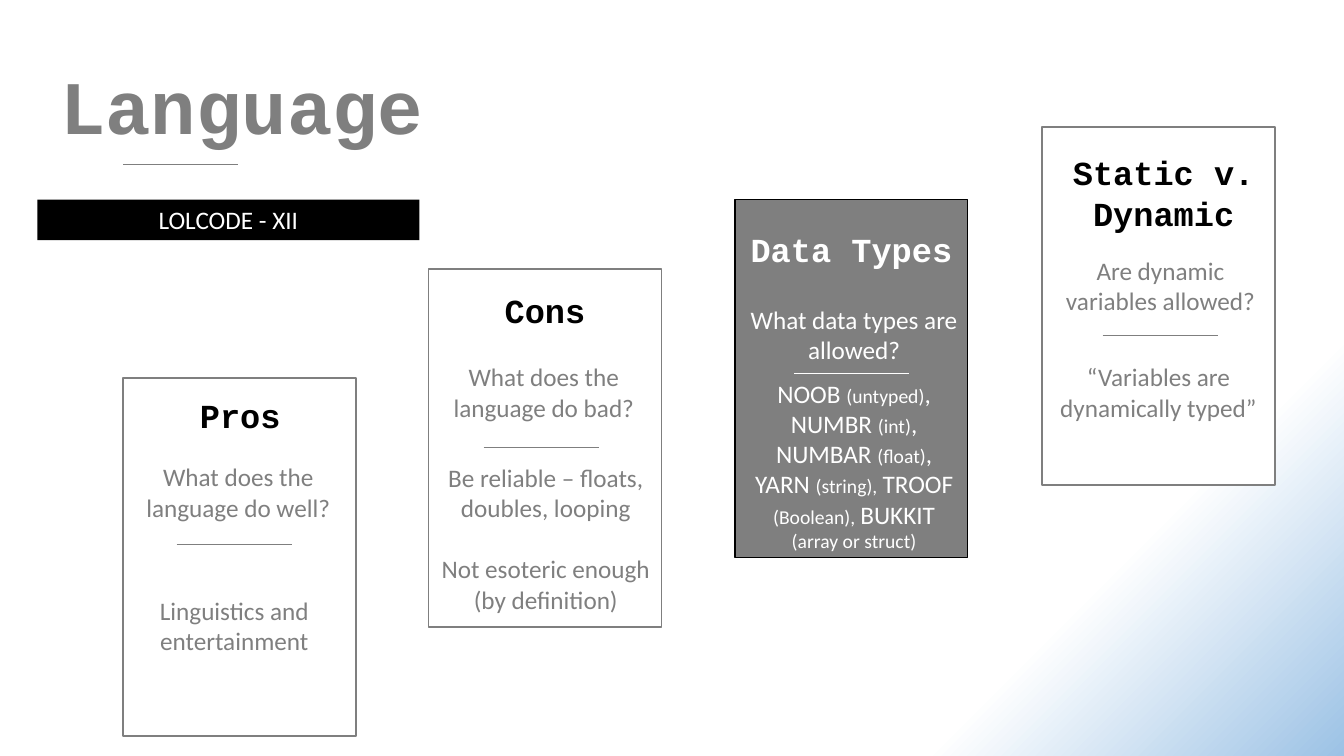
import pptx
import pptx.util
import pptx.oxml
import pptx.oxml.ns
import pptx.dml.color
import pptx.enum.shapes
import pptx.enum.text

Cm, Pt = pptx.util.Cm, pptx.util.Pt
RGB = pptx.dml.color.RGBColor
WHITE = RGB(0xFF, 0xFF, 0xFF)
BLACK = RGB(0, 0, 0)
GRAY = RGB(0x7F, 0x7F, 0x7F)
BLUE = RGB(0x9C, 0xC2, 0xE5)
HEAD, BODY = "Courier New", "Calibri"
WIDE, TALL = 5.87, 9.02
LEFT, MID = pptx.enum.text.PP_ALIGN.LEFT, pptx.enum.text.PP_ALIGN.CENTER


class Deck:
    def __init__(self):
        self.file = pptx.Presentation()
        self.file.slide_width, self.file.slide_height = Cm(33.87), Cm(19.05)
        self.slide = self.file.slides.add_slide(self.file.slide_layouts[6])
        self.shapes = self.slide.shapes

    def back(self, stops):
        """Fill the background with a round gradient from the top left."""
        marks = "".join(f'<a:gs pos="{pos * 1000}"><a:srgbClr val="{color}"/></a:gs>'
                        for pos, color in stops)
        names = pptx.oxml.ns.nsdecls("p", "a")
        fill = pptx.oxml.parse_xml(
            f'<p:bg {names}><p:bgPr><a:gradFill rotWithShape="1">'
            f'<a:gsLst>{marks}</a:gsLst><a:path path="circle">'
            '<a:fillToRect r="100000" b="100000"/></a:path></a:gradFill>'
            '<a:effectLst/></p:bgPr></p:bg>')
        self.slide.element.cSld.insert(0, fill)

    def box(self, x, y, w, h, fill, edge=None):
        kind = pptx.enum.shapes.MSO_SHAPE.RECTANGLE
        box = self.shapes.add_shape(kind, Cm(x), Cm(y), Cm(w), Cm(h))
        box.shadow.inherit = False
        box.fill.solid()
        box.fill.fore_color.rgb = fill
        if edge is None:
            box.line.fill.background()
        else:
            box.line.color.rgb = edge
            box.line.width = Pt(1)
        return box

    def rule(self, x, y, color=GRAY):
        kind = pptx.enum.shapes.MSO_CONNECTOR.STRAIGHT
        rule = self.shapes.add_connector(kind, Cm(x), Cm(y), Cm(x + 2.9), Cm(y))
        rule.line.color.rgb = color
        rule.line.width = Pt(0.75)
        rule.element.spPr.append(pptx.oxml.parse_xml(
            f'<a:effectLst {pptx.oxml.ns.nsdecls("a")}/>'))

    def label(self, shape, paras, size=18, color=GRAY, face=BODY, bold=False, align=MID):
        """Each paragraph is a string or a list of (text, size) runs."""
        frame = shape.text_frame
        frame.word_wrap = True
        for i, para in enumerate(paras):
            p = frame.add_paragraph() if i else frame.paragraphs[0]
            p.alignment = align
            p.font.name, p.font.bold = face, bold
            p.font.color.rgb = color
            if i:
                p.space_before = Pt(22)
            if isinstance(para, str):
                p.font.size = Pt(size)
                para = [(para, None)]
            for words, points in para:
                run = p.add_run()
                run.text = words
                if points:
                    run.font.size = Pt(points)

    def text(self, x, y, w, h, paras, **style):
        self.label(self.shapes.add_textbox(Cm(x), Cm(y), Cm(w), Cm(h)), paras, **style)

    def card(self, spot, title, ask, rule, reply, dark=False):
        ink = WHITE if dark else GRAY
        self.box(*spot, WIDE, TALL, GRAY if dark else WHITE, BLACK if dark else GRAY)
        x, y, h, words = title
        self.text(x, y, WIDE, h, [words], size=24, face=HEAD, bold=True,
                  color=WHITE if dark else BLACK)
        self.rule(*rule, ink)
        x, y, words = ask
        self.text(x, y, WIDE, 1.8, [words], color=ink)
        x, y, h, paras = reply
        self.text(x, y, WIDE, h, paras, color=ink)


def main():
    deck = Deck()
    deck.back([(0, WHITE), (80, WHITE), (100, BLUE)])

    # Heading
    deck.text(1.27, 1.35, 10.44, 2.57, ["Language"], size=54, face=HEAD,
              bold=True, align=LEFT)
    deck.rule(3.1, 4.14)
    bar = deck.box(0.94, 5.03, 9.63, 1.02, BLACK)
    deck.label(bar, ["LOLCODE - XII"], color=WHITE)

    # Rising cards
    deck.card((3.1, 9.53), (3.12, 9.83, 1.27, "Pros"),
              (3.07, 11.51, "What does the language do well?"), (4.45, 13.72),
              (2.97, 14.88, 1.02, ["Linguistics and entertainment"]))
    deck.card((10.8, 6.78), (10.8, 7.19, 1.27, "Cons"),
              (10.77, 8.99, "What does the language do bad?"), (12.19, 11.28),
              (10.82, 11.53, 2.57, ["Be reliable – floats, doubles, looping",
                                    "Not esoteric enough (by definition)"]))
    types = [("NOOB ", 18), ("(untyped)", 14), (", NUMBR ", 18), ("(int)", 14),
             (", NUMBAR ", 18), ("(float)", 14), (", YARN ", 18), ("(string),", 14),
             (" ", 16), ("TROOF ", 18), ("(Boolean),", 14), (" ", 16),
             ("BUKKIT ", 18), ("(array or struct)", 14)]
    deck.card((18.52, 5.03), (18.52, 5.64, 1.27, "Data Types"),
              (18.59, 7.54, "What data types are allowed?"), (20.02, 9.42),
              (18.59, 9.4, 4.7, [types]), dark=True)
    deck.card((26.26, 3.2), (26.39, 3.71, 2.31, "Static v. Dynamic"),
              (26.31, 6.3, "Are dynamic variables allowed?"), (27.79, 8.46),
              (26.26, 8.99, 1.8, ["“Variables are dynamically typed”"]))

    deck.file.save("out.pptx")


if __name__ == "__main__":
    main()
